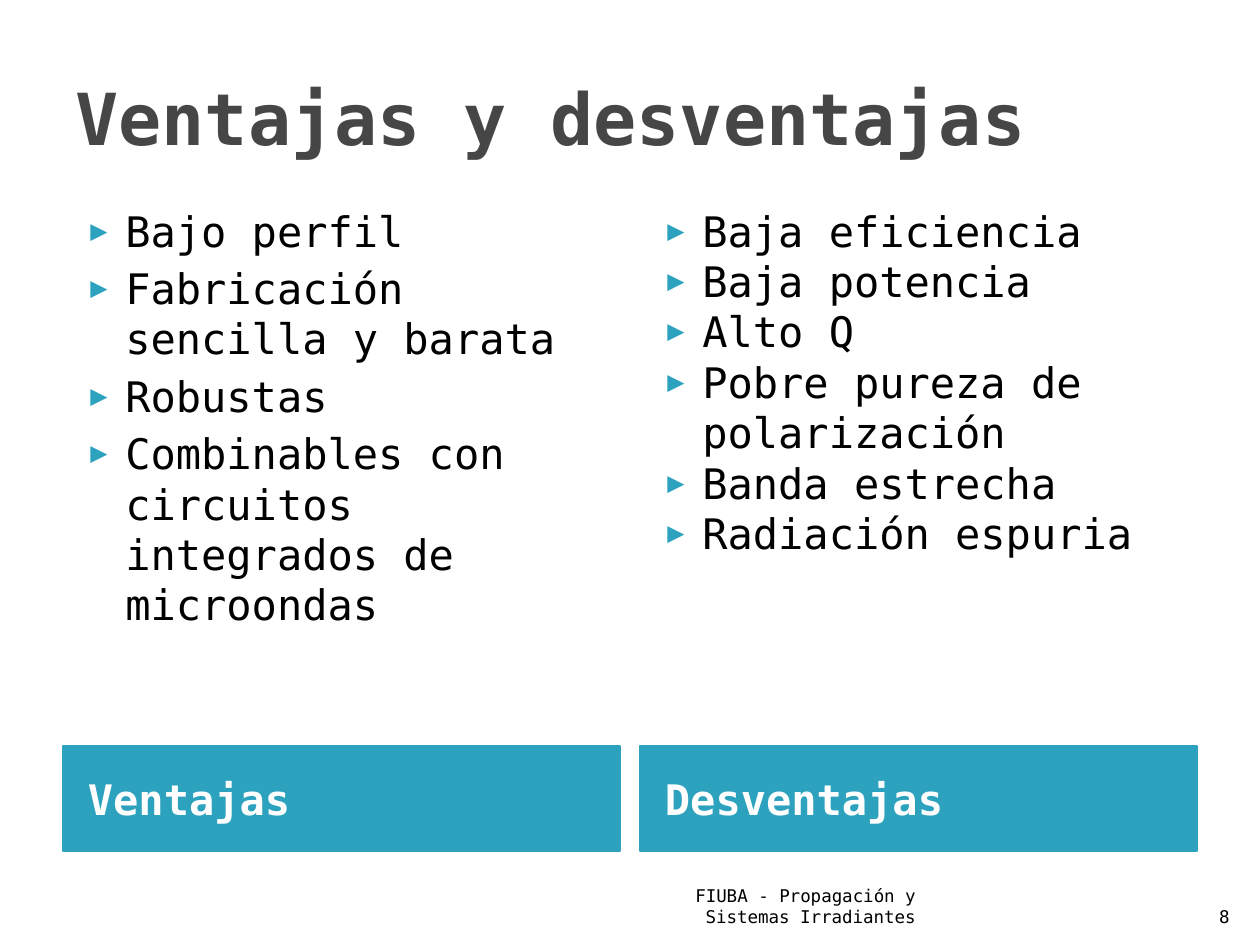
from dataclasses import dataclass

from lxml.etree import SubElement
from pptx import Presentation
from pptx.dml.color import RGBColor
from pptx.enum.shapes import MSO_SHAPE
from pptx.enum.text import MSO_ANCHOR, PP_ALIGN
from pptx.oxml.ns import qn
from pptx.util import Emu, Pt

PX_PER_INCH = 126
FONT = "DejaVu Sans Mono"
TEAL = RGBColor(0x2D, 0xA2, 0xBF)
GRAY = RGBColor(0x46, 0x46, 0x46)
BLACK = RGBColor(0, 0, 0)
WHITE = RGBColor(255, 255, 255)

COLUMN_WIDTH = 557
LIST_TOP, LIST_HEIGHT = 199, 543
HEADING_TOP, HEADING_HEIGHT = 746, 105


@dataclass(frozen=True)
class Column:
    left: int
    heading: str
    items: list[str]
    gap: int  # points between items


COLUMNS = [
    Column(63, "Ventajas", [
        "Bajo perfil",
        "Fabricación sencilla y barata",
        "Robustas",
        "Combinables con circuitos integrados de microondas",
    ], 4),
    Column(640, "Desventajas", [
        "Baja eficiencia",
        "Baja potencia",
        "Alto Q",
        "Pobre pureza de polarización",
        "Banda estrecha",
        "Radiación espuria",
    ], 0),
]


def px(length: int) -> Emu:
    return Emu(round(length * 914400 / PX_PER_INCH))


def add_bullet(paragraph) -> None:
    properties = paragraph._p.get_or_add_pPr()
    properties.set("marL", str(px(50)))
    properties.set("indent", str(px(-35)))
    color = SubElement(properties, qn("a:buClr"))
    SubElement(color, qn("a:srgbClr"), val=str(TEAL))
    SubElement(properties, qn("a:buSzPct"), val="68000")
    SubElement(properties, qn("a:buFont"), typeface=FONT)
    SubElement(properties, qn("a:buChar"), char="▶")


def write_text(shape, lines: list[str], *, size: int, color: RGBColor = BLACK,
               bold: bool = False, align=PP_ALIGN.LEFT, anchor=MSO_ANCHOR.TOP,
               bullets: bool = False, gap: int = 0) -> None:
    frame = shape.text_frame
    frame.word_wrap = True
    frame.vertical_anchor = anchor
    for index, line in enumerate(lines):
        paragraph = frame.add_paragraph() if index else frame.paragraphs[0]
        paragraph.alignment = align
        if index and gap:
            paragraph.space_before = Pt(gap)
        if bullets:
            add_bullet(paragraph)
        run = paragraph.add_run()
        run.text = line
        run.font.name = FONT
        run.font.size = Pt(size)
        run.font.bold = bold
        run.font.color.rgb = color


def add_text(slide, left: int, top: int, width: int, height: int,
             lines: list[str], **text_format) -> None:
    shape = slide.shapes.add_textbox(px(left), px(top), px(width), px(height))
    write_text(shape, lines, **text_format)


def add_heading(slide, column: Column) -> None:
    shape = slide.shapes.add_shape(
        MSO_SHAPE.RECTANGLE, px(column.left), px(HEADING_TOP),
        px(COLUMN_WIDTH), px(HEADING_HEIGHT))
    shape.shadow.inherit = False
    shape.fill.solid()
    shape.fill.fore_color.rgb = TEAL
    shape.line.color.rgb = TEAL
    shape.line.width = Pt(0.75)
    shape.text_frame.margin_left = px(25)
    write_text(shape, [column.heading], size=24, color=WHITE, bold=True,
               anchor=MSO_ANCHOR.MIDDLE)


def main() -> None:
    presentation = Presentation()
    presentation.slide_width = px(1260)
    presentation.slide_height = px(945)
    slide = presentation.slides.add_slide(presentation.slide_layouts[6])

    # Title
    add_text(slide, 63, 38, 1134, 158, ["Ventajas y desventajas"],
             size=41, color=GRAY, bold=True, anchor=MSO_ANCHOR.MIDDLE)

    # Two lists, each with its heading below
    for column in COLUMNS:
        add_heading(slide, column)
        add_text(slide, column.left, LIST_TOP, COLUMN_WIDTH, LIST_HEIGHT,
                 column.items, size=24, bullets=True, gap=column.gap)

    # Slide number and footer
    for left, width, text in [
        (1192, 50, "8"),
        (604, 324, "FIUBA - Propagación y Sistemas Irradiantes"),
    ]:
        add_text(slide, left, 883, width, 50, [text], size=10,
                 align=PP_ALIGN.RIGHT, anchor=MSO_ANCHOR.BOTTOM)

    presentation.save("out.pptx")


if __name__ == "__main__":
    main()
